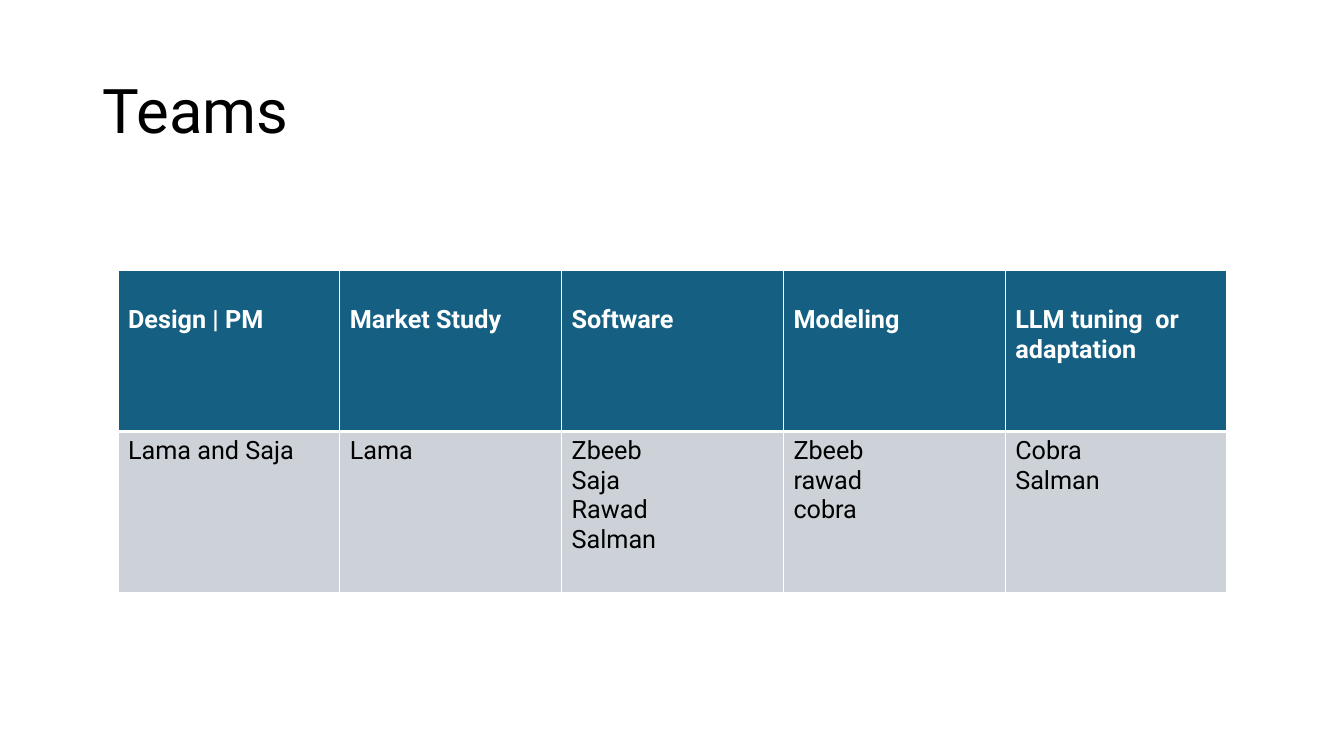
from lxml import etree
from pptx import Presentation
from pptx.dml.color import RGBColor
from pptx.enum.text import MSO_ANCHOR, MSO_AUTO_SIZE, PP_ALIGN
from pptx.oxml.ns import qn
from pptx.util import Emu, Pt

LEFT = PP_ALIGN.LEFT
MIDDLE = MSO_ANCHOR.MIDDLE
NO_FIT = MSO_AUTO_SIZE.NONE
TITLE_ONLY = 5
PX = 9144  # 100 px to the inch

COLORS = {"text": "000000", "header": "156082", "body": "CCD2D8", "white": "FFFFFF"}

TEAMS = [
    ("Design | PM", ["Lama and Saja"]),
    ("Market Study", ["Lama"]),
    ("Software", ["Zbeeb", "Saja", "Rawad", "Salman"]),
    ("Modeling", ["Zbeeb", "rawad", "cobra"]),
    ("LLM tuning  or adaptation", ["Cobra", "Salman"]),
]


def px(n):
    return Emu(n * PX)


class SlideBuilder:
    font = "Roboto"

    def __init__(self, prs):
        self.slide = prs.slides.add_slide(prs.slide_layouts[TITLE_ONLY])

    def style(self, p, size, color, bold=False):
        p.alignment = LEFT
        p.font.name = self.font
        p.font.size = Pt(size)
        p.font.bold = bold
        p.font.color.rgb = RGBColor.from_string(COLORS[color])

    def title(self, text, x, y, w, h):
        sp = self.slide.shapes.title
        sp.left, sp.top, sp.width, sp.height = map(px, (x, y, w, h))
        tf = sp.text_frame
        tf.text = text
        tf.auto_size = NO_FIT
        tf.vertical_anchor = MIDDLE
        p = tf.paragraphs[0]
        p.line_spacing = 0.9
        self.style(p, 44, "text")

    def borders(self, cell, widths):
        """Draw white borders; widths are points for left, right, top, bottom."""
        tc_pr = cell._tc.get_or_add_tcPr()
        for i, (side, width) in enumerate(zip("LRTB", widths)):
            ln = etree.Element(qn(f"a:ln{side}"), w=str(Pt(width)))
            fill = etree.SubElement(ln, qn("a:solidFill"))
            etree.SubElement(fill, qn("a:srgbClr"), val=COLORS["white"])
            tc_pr.insert(i, ln)

    def cell(self, cell, lines, fill, color, bold, top, widths):
        cell.fill.solid()
        cell.fill.fore_color.rgb = RGBColor.from_string(COLORS[fill])
        cell.margin_top = px(top)
        cell.text = "\n".join(lines)
        for p in cell.text_frame.paragraphs:
            self.style(p, 18, color, bold)
        self.borders(cell, widths)

    def team_table(self, teams, x, y, col_w, row_h):
        frame = self.slide.shapes.add_table(
            2, len(teams), px(x), px(y), px(col_w * len(teams)), px(row_h * 2))
        table = frame.table
        for row in table.rows:
            row.height = px(row_h)
        for i, (team, members) in enumerate(teams):
            table.columns[i].width = px(col_w)
            self.cell(table.cell(0, i), [team], "header", "white", True, 35, (1, 1, 1, 3))
            self.cell(table.cell(1, i), members, "body", "text", False, 5, (1, 1, 3, 1))


def main():
    prs = Presentation()
    prs.slide_width, prs.slide_height = px(1333), px(750)
    builder = SlideBuilder(prs)
    builder.title("Teams", 92, 40, 1150, 145)
    builder.team_table(TEAMS, 117, 268, 220, 160)
    prs.save("out.pptx")


if __name__ == "__main__":
    main()
